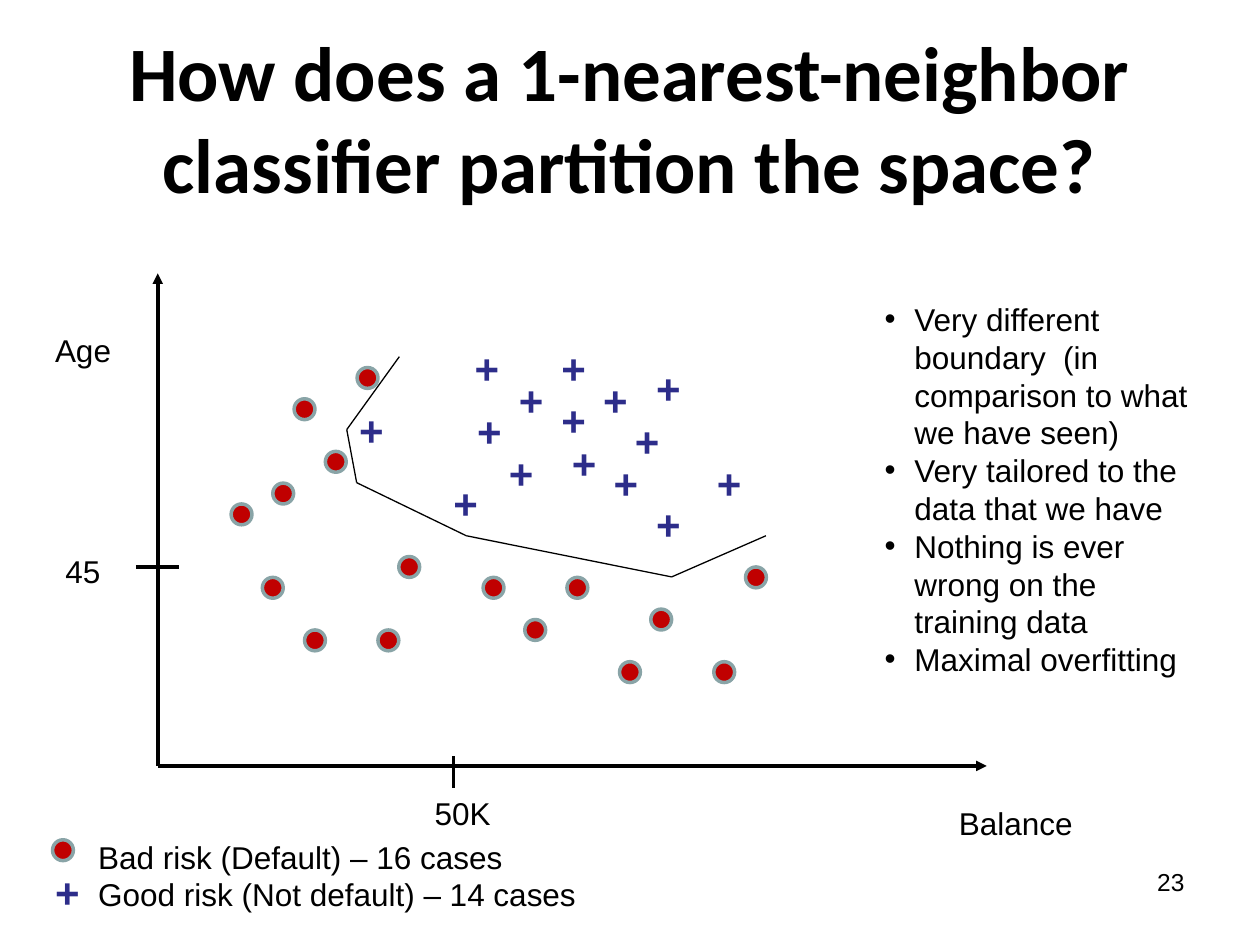
from itertools import pairwise

from lxml.etree import SubElement
from pptx import Presentation
from pptx.dml.color import RGBColor
from pptx.enum.shapes import MSO_CONNECTOR as Link, MSO_SHAPE as Shape
from pptx.enum.text import MSO_ANCHOR as Anchor, MSO_AUTO_SIZE as Fit, PP_ALIGN as Align
from pptx.oxml.ns import qn
from pptx.util import Cm, Pt

tint = RGBColor.from_string


def write(shape, text, size=18, color="000000", bold=False, face="Arial", wrap=False):
    frame = shape.text_frame
    frame.text = text
    frame.word_wrap = wrap
    frame.auto_size = Fit.NONE
    for para in frame.paragraphs:
        for run in para.runs:
            font = run.font
            font.name, font.size, font.bold = face, Pt(size), bold
            font.color.rgb = tint(color)
    return frame


def draw(start, end, width, arrow=False):
    line = slide.shapes.add_connector(Link.STRAIGHT, *map(Cm, start + end))
    line.line.color.rgb = tint("000000")
    line.line.width = Pt(width)
    if arrow:
        SubElement(line.line._get_or_add_ln(), qn("a:tailEnd"), type="triangle")
    SubElement(line._element.spPr, qn("a:effectLst"))


deck = Presentation()
deck.slide_width, deck.slide_height = Cm(25.4), Cm(19.05)
slide = deck.slides.add_slide(deck.slide_layouts[1])

# Title
title, body = slide.placeholders
title.left, title.top, title.width, title.height = Cm(1.27), Cm(0.76), Cm(22.86), Cm(3.18)
frame = write(title, "How does a 1-nearest-neighbor classifier partition the space?",
              44, bold=True, face="Calibri", wrap=True)
frame.vertical_anchor = Anchor.MIDDLE
frame.paragraphs[0].alignment = Align.CENTER

# Remarks
body.left, body.top, body.width, body.height = Cm(17.58), Cm(5.92), Cm(6.98), Cm(7.11)
frame = write(body, "\n".join([
    "Very different boundary  (in comparison to what we have seen)",
    "Very tailored to the data that we have",
    "Nothing is ever wrong on the training data",
    "Maximal overfitting",
]), wrap=True)
frame.vertical_anchor = Anchor.TOP
for para in frame.paragraphs:
    para.space_before = Pt(0)
    props = para._p.get_or_add_pPr()
    props.set("marL", str(Cm(0.6)))
    props.set("indent", str(-Cm(0.6)))

# Axes with ticks
origin = (3.18, 15.44)
draw(origin, (3.18, 5.51), 2, arrow=True)
draw(origin, (19.89, 15.44), 2, arrow=True)
draw((2.74, 11.43), (3.61, 11.43), 2)
draw((9.14, 15.24), (9.14, 15.88), 2)

# Bad risks, the last one for the legend
dots = [
    (5.93, 8.04), (7.2, 7.41), (6.56, 9.1), (5.5, 9.74), (4.66, 10.16), (5.29, 11.64),
    (6.14, 12.7), (15.03, 11.43), (7.62, 12.7), (8.04, 11.22), (10.58, 12.49),
    (9.74, 11.64), (11.43, 11.64), (12.49, 13.34), (13.12, 12.28), (14.39, 13.34),
    (1.06, 16.93),
]
for x, y in dots:
    dot = slide.shapes.add_shape(Shape.OVAL, Cm(x), Cm(y), Cm(0.42), Cm(0.42))
    dot.shadow.inherit = False
    dot.fill.solid()
    dot.fill.fore_color.rgb = tint("C00000")
    dot.line.color.rgb = tint("89A4A7")
    dot.line.width = Pt(2)

# Good risks, the last one for the legend
pluses = [
    (6.99, 8.03), (8.89, 9.5), (9.37, 8.05), (10.01, 8.89), (10.21, 7.42), (9.32, 6.78),
    (12.98, 9.93), (11.28, 8.69), (11.91, 7.42), (12.12, 9.09), (11.07, 6.78),
    (11.07, 7.82), (12.98, 7.19), (12.55, 8.26), (14.2, 9.09),
    (0.86, 17.35),
]
for x, y in pluses:
    plus = slide.shapes.add_textbox(Cm(x), Cm(y), Cm(0.99), Cm(1.27))
    write(plus, "+", 24, "2D2D8A", bold=True)

# Class boundary
bends = [(8.05, 7.19), (6.99, 8.66), (7.19, 9.73), (9.4, 10.8), (13.54, 11.63), (15.44, 10.8)]
for start, end in pairwise(bends):
    draw(start, end, 0.75)

# Labels and legend
labels = [
    ("45", 1.07, 11, 1.22, 1.02),
    ("Age", 0.86, 6.55, 1.63, 1.02),
    ("Balance", 19.08, 16.08, 2.79, 1.02),
    ("50K", 8.51, 15.88, 1.63, 1.02),
    ("Bad risk (Default) – 16 cases\nGood risk (Not default) – 14 cases", 1.73, 16.76, 10.13, 1.78),
]
for text, *place in labels:
    write(slide.shapes.add_textbox(*map(Cm, place)), text)

# Page number
page = slide.shapes.add_textbox(Cm(18.21), Cm(17.35), Cm(5.92), Cm(1.32))
write(page, "23", 14, wrap=True).paragraphs[0].alignment = Align.RIGHT

deck.save("out.pptx")
